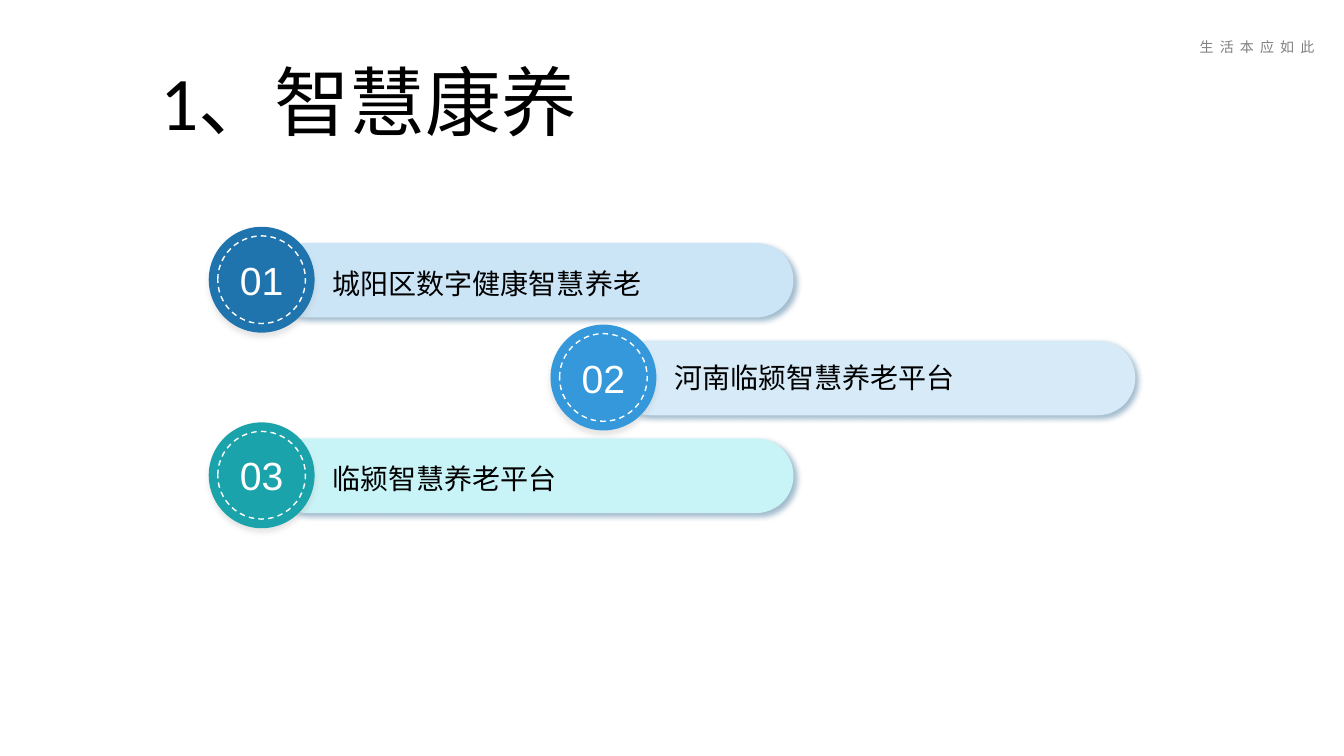
from lxml.etree import SubElement
from pptx import Presentation
from pptx.dml.color import RGBColor
from pptx.enum.dml import MSO_LINE
from pptx.enum.shapes import MSO_SHAPE
from pptx.enum.text import MSO_ANCHOR, PP_ALIGN
from pptx.oxml.ns import qn
from pptx.util import Inches, Pt

BLACK = RGBColor(0x00, 0x00, 0x00)
WHITE = RGBColor(0xFF, 0xFF, 0xFF)
GRAY = RGBColor(0x80, 0x80, 0x80)
PILL_SHADOW = RGBColor(0x17, 0x57, 0x82)
DISC_SHADOW = RGBColor(0xBF, 0xBF, 0xBF)
CJK_FONT = "Noto Sans CJK SC"

# label, left, top, disc colour, pill colour, line spacing
ITEMS = [
    ("城阳区数字健康智慧养老", 2.07, 2.25, RGBColor(0x1F, 0x74, 0xAD), RGBColor(0xCB, 0xE5, 0xF6), 1.2),
    ("河南临颍智慧养老平台", 5.46, 3.22, RGBColor(0x34, 0x98, 0xDB), RGBColor(0xD6, 0xEA, 0xF8), 1.0),
    ("临颍智慧养老平台", 2.07, 4.19, RGBColor(0x1A, 0xA3, 0xAA), RGBColor(0xC9, 0xF4, 0xF7), 1.2),
]


def write(tf, text, size=20, font="Calibri", color=BLACK, align=PP_ALIGN.LEFT,
          anchor=MSO_ANCHOR.MIDDLE, line_spacing=1.0, tracking=0):
    tf.word_wrap = True
    tf.vertical_anchor = anchor
    p = tf.paragraphs[0]
    p.alignment = align
    p.line_spacing = line_spacing
    r = p.add_run()
    r.text = text
    r.font.size = Pt(size)
    r.font.name = font
    r.font.color.rgb = color
    rPr = r.font._element
    SubElement(rPr, qn("a:ea"), typeface=CJK_FONT)
    if tracking:
        rPr.set("spc", str(round(tracking * 100)))


class Deck:
    def __init__(self, prs):
        self.s = prs.slides.add_slide(prs.slide_layouts[6])

    def text(self, text, left, top, width, height, **style):
        box = self.s.shapes.add_textbox(Inches(left), Inches(top), Inches(width), Inches(height))
        write(box.text_frame, text, **style)

    def shape(self, kind, left, top, width, height, fill=None):
        sp = self.s.shapes.add_shape(kind, Inches(left), Inches(top), Inches(width), Inches(height))
        sp.shadow.inherit = False
        sp.line.fill.background()
        if fill is None:
            sp.fill.background()
        else:
            sp.fill.solid()
            sp.fill.fore_color.rgb = fill
        return sp

    def shadow(self, sp, color, angle):
        effects = sp._element.spPr.find(qn("a:effectLst"))
        outer = SubElement(effects, qn("a:outerShdw"), blurRad=str(Pt(4)), dist=str(Pt(3)),
                           dir=str(angle * 60000), algn="tl", rotWithShape="0")
        clr = SubElement(outer, qn("a:srgbClr"), val=str(color))
        SubElement(clr, qn("a:alpha"), val="40000")

    def pill(self, left, top, fill):
        sp = self.shape(MSO_SHAPE.ROUNDED_RECTANGLE, left, top, 5.19, 0.74, fill)
        sp.adjustments[0] = 0.5
        self.shadow(sp, PILL_SHADOW, 45)

    def badge(self, number, left, top, fill):
        disc = self.shape(MSO_SHAPE.OVAL, left, top, 1.05, 1.05, fill)
        self.shadow(disc, DISC_SHADOW, 90)
        ring = self.shape(MSO_SHAPE.OVAL, left + 0.09, top + 0.09, 0.87, 0.87)
        ring.line.color.rgb = WHITE
        ring.line.width = Pt(1)
        ring.line.dash_style = MSO_LINE.DASH
        tf = ring.text_frame
        tf.margin_left = tf.margin_right = tf.margin_top = tf.margin_bottom = 0
        write(tf, number, size=28, font="Arial", color=WHITE, align=PP_ALIGN.CENTER)


def main():
    prs = Presentation()
    prs.slide_width, prs.slide_height = Inches(13.33), Inches(7.5)
    deck = Deck(prs)

    # Title
    deck.text("1、智慧康养", 0.94, 0.31, 5.43, 1.18, size=54, align=PP_ALIGN.CENTER,
              anchor=MSO_ANCHOR.BOTTOM, line_spacing=1.3)

    # Numbered items
    for i, (label, left, top, disc, pill, spacing) in enumerate(ITEMS, 1):
        deck.pill(left + 0.61, top + 0.16, pill)
        deck.badge(f"{i:02d}", left, top, disc)
        deck.text(label, left + 1.13, top + 0.28, 4.29, 0.49, line_spacing=spacing)

    # Motto in the corner
    deck.text("生 活 本 应 如 此", 11.8, 0.33, 1.53, 0.47, size=10, font=CJK_FONT,
              color=GRAY, anchor=MSO_ANCHOR.TOP, tracking=1.1)

    prs.save("out.pptx")


if __name__ == "__main__":
    main()
